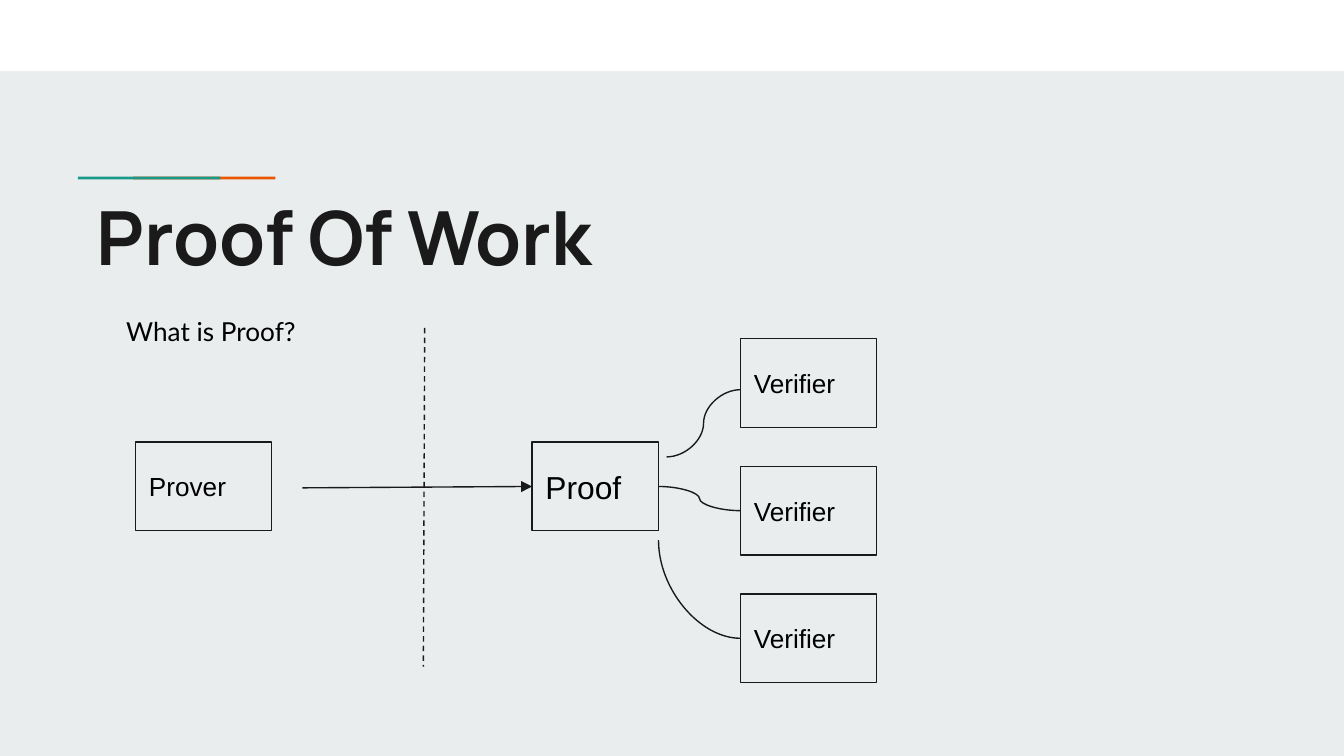
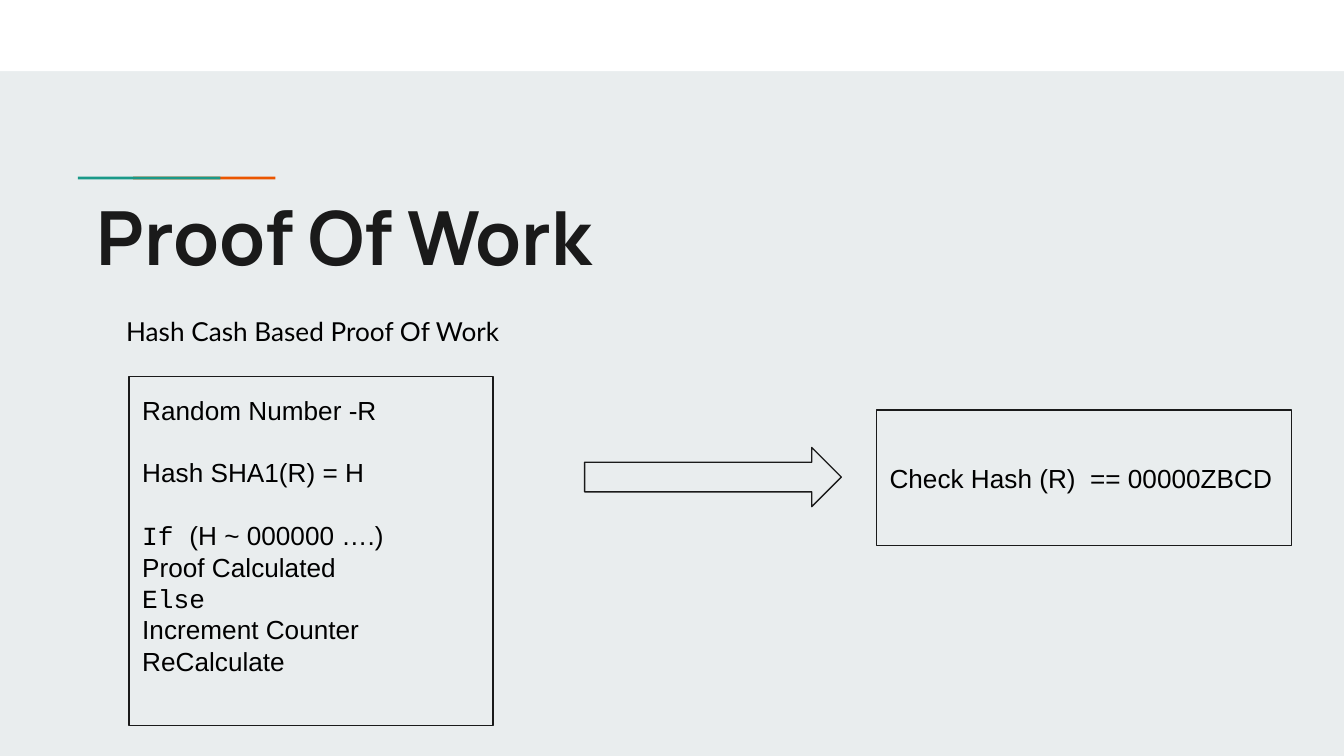
from dataclasses import dataclass

from lxml.etree import SubElement
from pptx import Presentation
from pptx.dml.color import RGBColor as RGB
from pptx.enum.dml import MSO_LINE
from pptx.enum.shapes import MSO_CONNECTOR as LINK, MSO_SHAPE as SHAPE
from pptx.enum.text import MSO_ANCHOR as ANCHOR, PP_ALIGN as ALIGN
from pptx.oxml.ns import qn
from pptx.util import Inches, Pt


@dataclass(frozen=True)
class Theme:
    paper: RGB = RGB.from_string("E9EDEE")
    band: RGB = RGB.from_string("FFFFFF")
    teal: RGB = RGB.from_string("1A9988")
    orange: RGB = RGB.from_string("EB5600")
    ink: RGB = RGB.from_string("1A1A1A")
    text: RGB = RGB.from_string("000000")
    title_font: str = "Manrope"
    lead_font: str = "Lato"
    body_font: str = "Arial"
    code_font: str = "Courier New"
    title: Pt = Pt(40)
    large: Pt = Pt(17)
    body: Pt = Pt(14)
    leading: Pt = Pt(16.8)
    stroke: Pt = Pt(0.75)


T = Theme()
prs = Presentation()
prs.slide_width, prs.slide_height = Inches(10), Inches(10) * 9 // 16
CELL = prs.slide_width / 100  # square grid, 100 columns by 56.25 rows


def grid(*cells):
    return [round(n * CELL) for n in cells]


def add_box(s, at, text="", kind=SHAPE.RECTANGLE, fill=T.paper, line=T.ink,
            size=T.body, font=T.body_font, color=T.text, anchor=ANCHOR.MIDDLE):
    """Add a shape, or a text box when kind is None, at grid cells."""
    if kind is None:
        sp = s.shapes.add_textbox(*grid(*at))
    else:
        sp = s.shapes.add_shape(kind, *grid(*at))
        sp.shadow.inherit = False
        sp.fill.solid()
        sp.fill.fore_color.rgb = fill
        if line is None:
            sp.line.fill.background()
        else:
            sp.line.color.rgb = line
            sp.line.width = T.stroke
    if text:
        tf = sp.text_frame
        tf.word_wrap = True
        tf.vertical_anchor = anchor
        tf.margin_left = tf.margin_right = tf.margin_top = tf.margin_bottom = Inches(0.1)
        tf.text = text
        for p in tf.paragraphs:
            p.alignment = ALIGN.LEFT
            p.font.size, p.font.name, p.font.color.rgb = size, font, color
    return sp


# Shared frame: background, accent rule, top band, title and lead line
slides = []
for lead, width in (("What is Proof?", 20.6), ("Hash Cash Based Proof Of Work", 38.9)):
    s = prs.slides.add_slide(prs.slide_layouts[6])
    s.background.fill.solid()
    s.background.fill.fore_color.rgb = T.paper
    for at, fill in (((9.9, 13.15, 10.6, 0.2), T.orange),
                     ((5.8, 13.15, 10.6, 0.2), T.teal),
                     ((0, 0, 100, 5.3), T.band)):
        add_box(s, at, fill=fill, line=None)
    title = add_box(s, (6.2, 12.6, 93.8, 9.3), "Proof Of Work", None, size=T.title,
                    font=T.title_font, color=T.ink, anchor=ANCHOR.BOTTOM)
    title.text_frame.paragraphs[0].font.bold = True
    add_box(s, (8.4, 22.5, width, 4.4), lead, None, font=T.lead_font, anchor=ANCHOR.TOP)
    slides.append(s)
proof_slide, hash_slide = slides

# Slide 1: one prover, one proof, three verifiers
add_box(proof_slide, (10.1, 32.9, 10.1, 6.6), "Prover")
add_box(proof_slide, (39.6, 32.9, 9.4, 6.6), "Proof", size=T.large)
for row in range(3):
    add_box(proof_slide, (55.1, 25.2 + 9.5 * row, 10.1, 6.6), "Verifier")

links = {}
for name, kind, ends in (
    ("arrow", LINK.STRAIGHT, (22.5, 36.3, 39.6, 36.2)),
    ("divider", LINK.STRAIGHT, (31.6, 24.4, 31.5, 49.6)),
    ("top", LINK.CURVE, (55.1, 29, 49.6, 34)),
    ("middle", LINK.CURVE, (55.1, 38, 49, 36.2)),
    ("bottom", LINK.CURVE, (55.1, 47.5, 49, 40.2)),
):
    link = proof_slide.shapes.add_connector(kind, *grid(*ends))
    link.line.color.rgb = T.ink
    link.line.width = T.stroke
    SubElement(link._element.spPr, qn("a:effectLst"))
    links[name] = link
links["divider"].line.dash_style = MSO_LINE.DASH
SubElement(links["arrow"].line._get_or_add_ln(), qn("a:tailEnd"), type="triangle")
links["bottom"]._element.spPr.find(qn("a:prstGeom")).set("prst", "curvedConnector2")

# Slide 2: the hash loop and its check
steps = ("Random Number -R", "Hash SHA1(R) = H", "If ", "Proof Calculated", "Else",
         "Increment Counter ReCalculate")
loop = add_box(hash_slide, (9.6, 28, 27.1, 26), "\n".join(steps))
tf = loop.text_frame
tf.margin_bottom = Inches(0.1) + T.leading
for p in tf.paragraphs:
    p.line_spacing = T.leading
    if p.text in ("If ", "Else"):
        p.runs[0].font.name = T.code_font
for p in tf.paragraphs[1:3]:
    p.space_before = T.leading
r = tf.paragraphs[2].add_run()
r.text = "(H ~ 000000 ….)"

add_box(hash_slide, (43.5, 33.3, 19.1, 4.4), kind=SHAPE.RIGHT_ARROW)
add_box(hash_slide, (65.2, 30.5, 30.9, 10.1), "Check Hash (R)  == 00000ZBCD")

prs.save("out.pptx")
